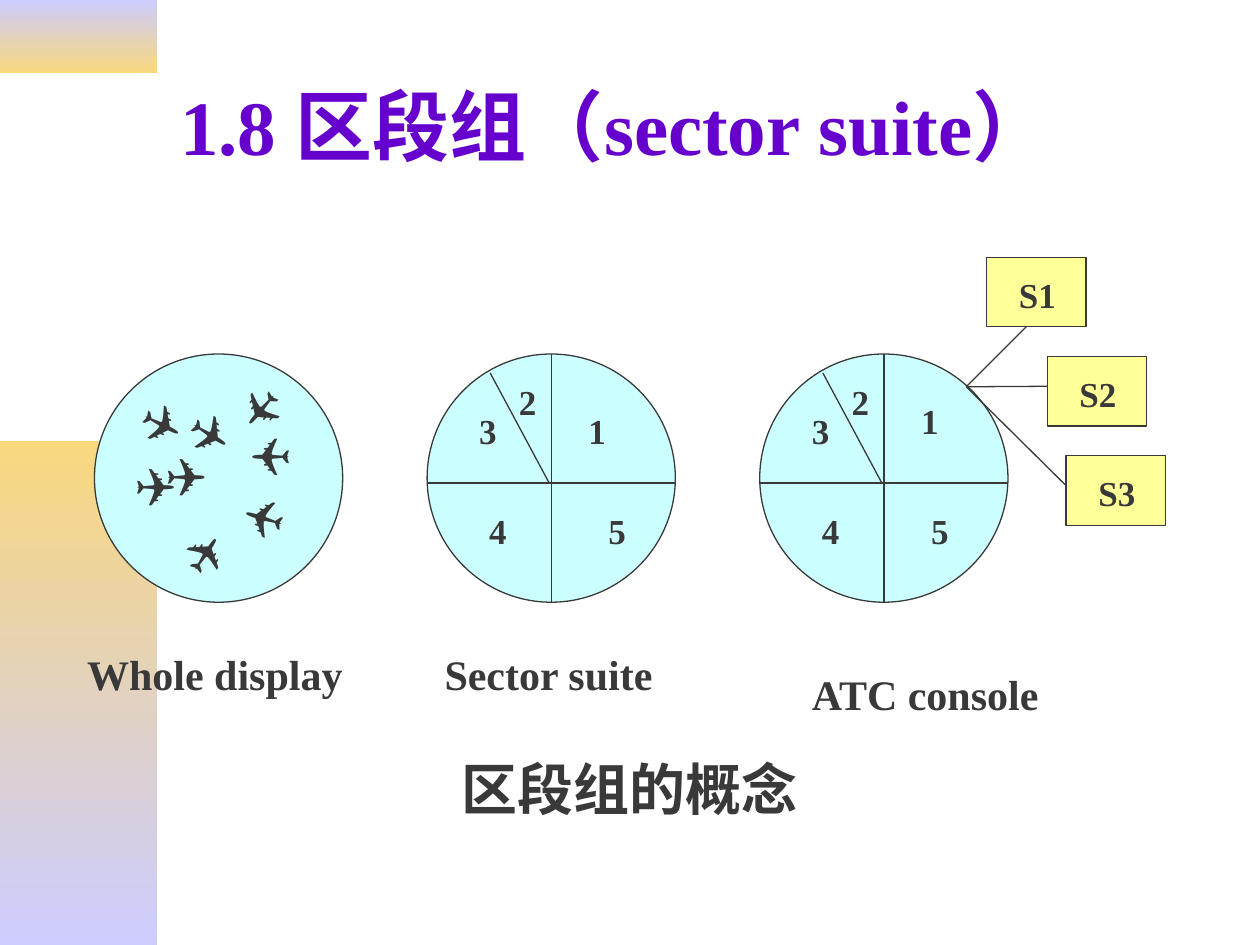
from dataclasses import dataclass

from lxml import etree
from pptx import Presentation
from pptx import util as u
from pptx.dml.color import RGBColor
from pptx.enum import shapes, text
from pptx.oxml.ns import qn


@dataclass(frozen=True)
class Theme:
    """Colours, fonts and type sizes of the slide."""
    ink: str = "393939"
    heading: str = "6600CC"
    dial: str = "CCFFFF"
    console: str = "FFFF99"
    lilac: str = "CCCCFF"
    amber: str = "F9D87E"
    serif: str = "Times New Roman"
    sans: str = "Arial"
    title: int = 44
    concept: int = 32
    caption: int = 24
    number: int = 20
    rule: float = 0.75


THEME = Theme()
WIDTH, HEIGHT = 10, 7.5
DIAL_CELLS = 25
DIAL = 1.97
CELL = DIAL / DIAL_CELLS
DIAL_TOP = 2.81
NUMBER_BOX = (0.31, 0.44)
TAG_BOX = (0.55, 0.44)
PLANE_HEIGHT = 0.5
SUITE_NUMBERS = {"1": (15, 5), "2": (8, 2), "3": (4, 5), "4": (5, 15), "5": (17, 15)}
CONSOLE_NUMBERS = {**SUITE_NUMBERS, "1": (15, 4), "5": (16, 15)}
DIVIDERS = [((0, 13), (25, 13)), ((12.5, 0), (12.5, 25)), ((12.3, 13), (6.35, 1.9))]
PLANES = [
    (6, 8.9, 7, 0), (8.6, 4.8, 7, 31.7), (16, 7.6, 5, 180), (7.5, 16.6, 7, 303.6),
    (13.2, 13.7, 7, 196.7), (13.5, 2.9, 7, 130.9), (2.9, 9.9, 7, 0), (3.7, 3.8, 7, 27.1),
]
CONSOLES = [("S1", 22.85, (4, 7)), ("S2", 28.95, (0, 3)), ("S3", 30.85, (0, 3))]


def apply(target, formats):
    """Set each format value on the target."""
    for key, value in formats.items():
        setattr(target, key, value)


def inches(*lengths):
    """Turn lengths in inches into slide units."""
    return [u.Inches(length) for length in lengths]


def at(box, column, row):
    """Return the point at a grid column and row of a box."""
    return box[0] + column * CELL, box[1] + row * CELL


def write(frame, words, size, colour=THEME.ink, face=THEME.serif,
          align=text.PP_ALIGN.LEFT, anchor=text.MSO_ANCHOR.TOP):
    """Write one formatted paragraph into a text frame."""
    apply(frame, {"text": words, "word_wrap": True, "vertical_anchor": anchor,
                  "auto_size": text.MSO_AUTO_SIZE.NONE})
    paragraph = frame.paragraphs[0]
    paragraph.alignment = align
    font = paragraph.runs[0].font
    apply(font, {"name": face, "size": u.Pt(size), "bold": True})
    font.color.rgb = RGBColor.from_string(colour)


def label(slide, words, corner, extent, size, turn=0, **formats):
    """Add a text box with its top left at the corner."""
    box = slide.shapes.add_textbox(*inches(*corner, *extent))
    box.rotation = turn
    write(box.text_frame, words, size, **formats)


def panel(slide, kind, corner, extent, colour):
    """Add a filled and outlined shape."""
    shape = slide.shapes.add_shape(kind, *inches(*corner, *extent))
    shape.shadow.inherit = False
    shape.fill.solid()
    shape.fill.fore_color.rgb = RGBColor.from_string(colour)
    outline(shape)


def outline(part):
    """Give a shape or connector the thin ink line."""
    part.line.color.rgb = RGBColor.from_string(THEME.ink)
    part.line.width = u.Pt(THEME.rule)


def rule(slide, start, end):
    """Add a thin straight line between two points."""
    connector = slide.shapes.add_connector(
        shapes.MSO_CONNECTOR.STRAIGHT, *inches(*start, *end))
    outline(connector)
    etree.SubElement(connector._element.spPr, qn("a:effectLst"))


def side_band(slide, box, colours):
    """Add a decorative band that fades from top to bottom."""
    band = slide.shapes.add_shape(shapes.MSO_SHAPE.RECTANGLE, *inches(*box))
    band.shadow.inherit = False
    band.line.fill.background()
    band.fill.gradient()
    band.fill.gradient_angle = 270
    for stop, position, colour in zip(band.fill.gradient_stops, (0, 1), colours):
        stop.position = position
        stop.color.rgb = RGBColor.from_string(colour)


def heading(slide, box):
    """Place and fill the title placeholder."""
    title = slide.shapes.title
    apply(title, dict(zip(("left", "top", "width", "height"), inches(*box))))
    write(title.text_frame, "1.8 区段组（sector suite）", THEME.title,
          THEME.heading, anchor=text.MSO_ANCHOR.MIDDLE)


def dial(slide, box, caption, caption_cell, caption_width):
    """Draw a round display with its caption."""
    panel(slide, shapes.MSO_SHAPE.OVAL, box, (DIAL, DIAL), THEME.dial)
    label(slide, caption, at(box, *caption_cell), (caption_width, 0.5), THEME.caption)


def whole_display(slide, box):
    """Draw the undivided display with its aircraft."""
    dial(slide, box, "Whole display", (-2, 29), 2.28)
    for column, row, width, turn in PLANES:
        label(slide, "✈", at(box, column, row), (width * CELL, PLANE_HEIGHT),
              THEME.caption, turn, face=THEME.sans)


def sectors(slide, box, numbers):
    """Divide a display into numbered sectors."""
    for start, end in DIVIDERS:
        rule(slide, at(box, *start), at(box, *end))
    for number, cell in numbers.items():
        label(slide, number, at(box, *cell), NUMBER_BOX, THEME.number)


def sector_suite(slide, box):
    """Draw the display divided into sectors."""
    dial(slide, box, "Sector suite", (0.5, 29), 1.89)
    sectors(slide, box, SUITE_NUMBERS)


def atc_console(slide, box):
    """Draw the divided display and the consoles of its first sector."""
    dial(slide, box, "ATC console", (4, 31), 2.13)
    sectors(slide, box, CONSOLE_NUMBERS)
    for index, (name, column, entry) in enumerate(CONSOLES):
        corner = at(box, column, 10 * index - 9.75)
        panel(slide, shapes.MSO_SHAPE.RECTANGLE, corner, (10 * CELL, 7 * CELL), THEME.console)
        label(slide, name, at(corner, 2, 1), TAG_BOX, THEME.number)
        rule(slide, at(box, 20.8, 3.3), at(corner, *entry))


def main():
    """Build and save the slide."""
    deck = Presentation()
    apply(deck, {"slide_width": u.Inches(WIDTH), "slide_height": u.Inches(HEIGHT)})
    slide = deck.slides.add_slide(deck.slide_layouts[5])
    side_band(slide, (0, 0, WIDTH / 8, 0.58), (THEME.lilac, THEME.amber))
    side_band(slide, (0, 3.5, WIDTH / 8, HEIGHT - 3.5), (THEME.amber, THEME.lilac))
    heading(slide, (1.33, 0.33, 8.5, 1.32))
    label(slide, "区段组的概念", (0.5, 5.94), (WIDTH - 1, 0.69), THEME.concept,
          align=text.PP_ALIGN.CENTER)
    for index, stage in enumerate((whole_display, sector_suite, atc_console)):
        stage(slide, (0.75 + index * 2.64, DIAL_TOP))
    deck.save("out.pptx")


if __name__ == "__main__":
    main()
